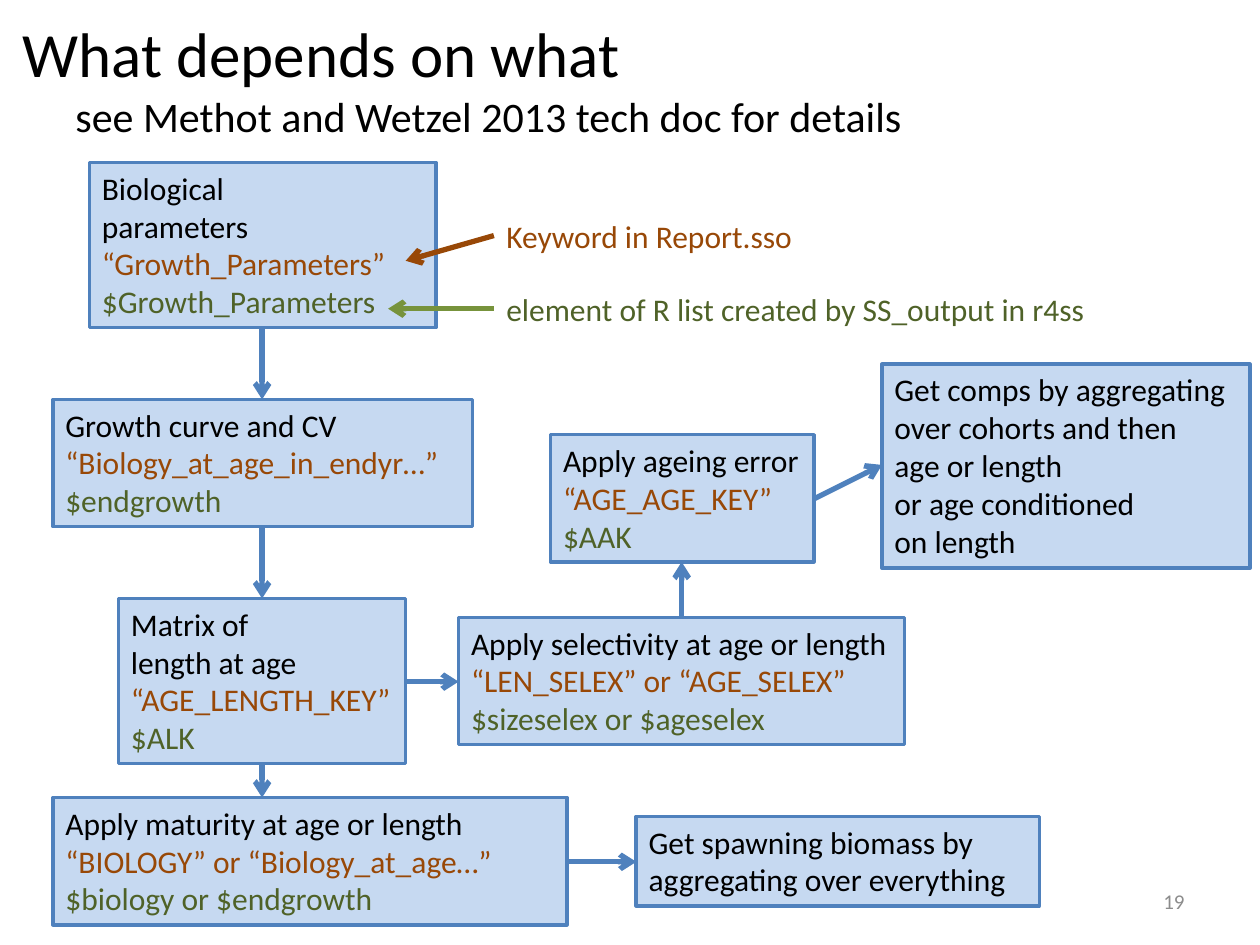
from dataclasses import dataclass

import lxml.etree
import pptx
import pptx.dml.color
import pptx.enum.shapes
import pptx.enum.text
import pptx.oxml.ns
import pptx.util

Inches = pptx.util.Inches
RGBColor = pptx.dml.color.RGBColor
Anchor = pptx.enum.text.MSO_ANCHOR
Align = pptx.enum.text.PP_ALIGN
AutoSize = pptx.enum.text.MSO_AUTO_SIZE

BLACK = RGBColor(0x00, 0x00, 0x00)
GREY = RGBColor(0x8C, 0x8C, 0x8C)
KEYWORD_BROWN = RGBColor(0x98, 0x48, 0x07)
ELEMENT_GREEN = RGBColor(0x4F, 0x62, 0x28)
ARROW_GREEN = RGBColor(0x77, 0x93, 0x3C)
BOX_FILL = RGBColor(0xC6, 0xD9, 0xF1)
BLUE = RGBColor(0x4F, 0x81, 0xBD)

LINE_COLORS = (BLACK, KEYWORD_BROWN, ELEMENT_GREEN)
MAIN_COLUMN = 2.08


@dataclass
class Box:
    left: float
    top: float
    width: float
    height: float
    lines: tuple[str, ...]
    wrap: bool = True
    colors: tuple[RGBColor, ...] = LINE_COLORS


@dataclass
class Label:
    left: float
    top: float
    width: float
    height: float
    text: str
    size: float = 18
    color: RGBColor = BLACK
    wrap: bool = True
    anchor: Anchor = Anchor.TOP
    align: Align = Align.LEFT
    space_before: float = 0


@dataclass
class Arrow:
    start: tuple[float, float]
    end: tuple[float, float]
    color: RGBColor = BLUE


BOXES = (
    Box(0.71, 1.29, 2.75, 1.31,
        ("Biological\nparameters", "“Growth_Parameters”", "$Growth_Parameters")),
    Box(0.42, 3.17, 3.33, 1.01,
        ("Growth curve and CV", "“Biology_at_age_in_endyr…”", "$endgrowth")),
    Box(0.94, 4.75, 2.28, 1.31,
        ("Matrix of\nlength at age", "“AGE_LENGTH_KEY”", "$ALK"), wrap=False),
    Box(0.42, 6.33, 4.08, 1.01,
        ("Apply maturity at age or length", "“BIOLOGY” or “Biology_at_age…”",
         "$biology or $endgrowth")),
    Box(3.64, 4.9, 3.54, 1.01,
        ("Apply selectivity at age or length", "“LEN_SELEX” or “AGE_SELEX”",
         "$sizeselex or $ageselex"), wrap=False),
    Box(4.37, 3.45, 2.09, 1.01,
        ("Apply ageing error", "“AGE_AGE_KEY”", "$AAK"), wrap=False),
    Box(7, 2.89, 2.92, 1.62,
        ("Get comps by aggregating",
         "over cohorts and then\nage or length\nor age conditioned\non length"),
        wrap=False, colors=(BLACK, BLACK)),
    Box(5.05, 6.48, 3.2, 0.71,
        ("Get spawning biomass by aggregating over everything",)),
)

LABELS = (
    Label(0.08, 0, 9.42, 0.83, "What depends on what", size=36, anchor=Anchor.MIDDLE),
    Label(0.5, 0.67, 9, 5.7, "see Methot and Wetzel 2013 tech doc for details",
          size=24, space_before=4.8),
    Label(7.17, 6.95, 2.33, 0.4, "19", size=12, color=GREY,
          anchor=Anchor.MIDDLE, align=Align.RIGHT),
    Label(3.92, 1.67, 2.49, 0.4, "Keyword in Report.sso",
          color=KEYWORD_BROWN, wrap=False),
    Label(3.92, 2.25, 4.85, 0.4, "element of R list created by SS_output in r4ss",
          color=ELEMENT_GREEN, wrap=False),
)

ARROWS = (
    Arrow((MAIN_COLUMN, 2.6), (MAIN_COLUMN, 3.17)),
    Arrow((MAIN_COLUMN, 4.18), (MAIN_COLUMN, 4.75)),
    Arrow((MAIN_COLUMN, 6.06), (MAIN_COLUMN, 6.33)),
    Arrow((3.22, 5.41), (3.64, 5.41)),
    Arrow((5.41, 4.9), (5.41, 4.46)),
    Arrow((6.46, 3.96), (7, 3.69)),
    Arrow((4.5, 6.84), (5.05, 6.84)),
    Arrow((3.92, 1.87), (3.22, 2.07), KEYWORD_BROWN),
    Arrow((3.92, 2.45), (3.08, 2.45), ARROW_GREEN),
)


def set_attributes(target, values: dict) -> None:
    for name, value in values.items():
        setattr(target, name, value)


def write_paragraph(paragraph, text: str, size: float, color: RGBColor,
                    align: Align = Align.LEFT, space_before: float = 0) -> None:
    paragraph.text = text
    set_attributes(paragraph, {
        "alignment": align, "space_before": pptx.util.Pt(space_before)})
    for run in paragraph.runs:
        set_attributes(run.font, {"name": "Calibri", "size": pptx.util.Pt(size)})
        run.font.color.rgb = color


def draw_box(slide, box: Box) -> None:
    shape = slide.shapes.add_shape(
        pptx.enum.shapes.MSO_SHAPE.RECTANGLE,
        Inches(box.left), Inches(box.top), Inches(box.width), Inches(box.height))
    shape.shadow.inherit = False
    shape.fill.solid()
    shape.fill.fore_color.rgb = BOX_FILL
    shape.line.color.rgb = BLUE
    shape.line.width = pptx.util.Pt(2)
    frame = shape.text_frame
    set_attributes(frame, {
        "word_wrap": box.wrap,
        "auto_size": AutoSize.SHAPE_TO_FIT_TEXT,
        "vertical_anchor": Anchor.TOP,
    })
    for index, (text, color) in enumerate(zip(box.lines, box.colors)):
        paragraph = frame.add_paragraph() if index else frame.paragraphs[0]
        write_paragraph(paragraph, text, 18, color)


def draw_label(slide, label: Label) -> None:
    frame = slide.shapes.add_textbox(
        Inches(label.left), Inches(label.top),
        Inches(label.width), Inches(label.height)).text_frame
    set_attributes(frame, {
        "word_wrap": label.wrap,
        "auto_size": AutoSize.NONE if label.wrap else AutoSize.SHAPE_TO_FIT_TEXT,
        "vertical_anchor": label.anchor,
    })
    write_paragraph(frame.paragraphs[0], label.text, label.size, label.color,
                    label.align, label.space_before)


def draw_arrow(slide, arrow: Arrow) -> None:
    connector = slide.shapes.add_connector(
        pptx.enum.shapes.MSO_CONNECTOR.STRAIGHT,
        *(Inches(value) for value in arrow.start + arrow.end))
    connector.line.color.rgb = arrow.color
    connector.line.width = pptx.util.Pt(3)
    properties = connector.element.spPr
    qn = pptx.oxml.ns.qn
    lxml.etree.SubElement(properties.find(qn("a:ln")), qn("a:tailEnd"), type="arrow")
    lxml.etree.SubElement(properties, qn("a:effectLst"))


def main() -> None:
    presentation = pptx.Presentation()
    set_attributes(presentation, {
        "slide_width": Inches(10), "slide_height": Inches(7.5)})
    slide = presentation.slides.add_slide(presentation.slide_layouts[6])
    for items, draw in ((LABELS, draw_label), (BOXES, draw_box), (ARROWS, draw_arrow)):
        for item in items:
            draw(slide, item)
    presentation.save("out.pptx")


if __name__ == "__main__":
    main()
